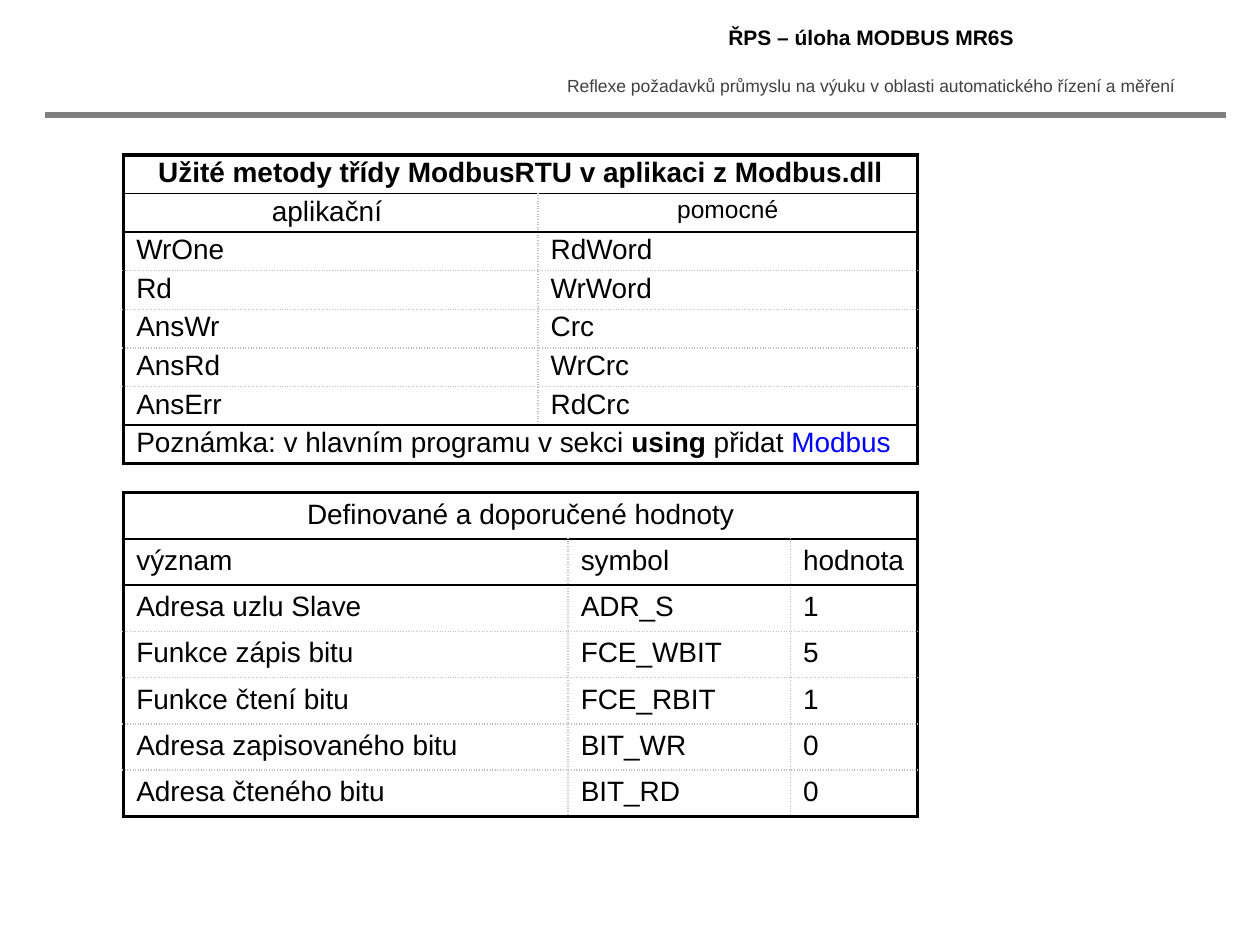
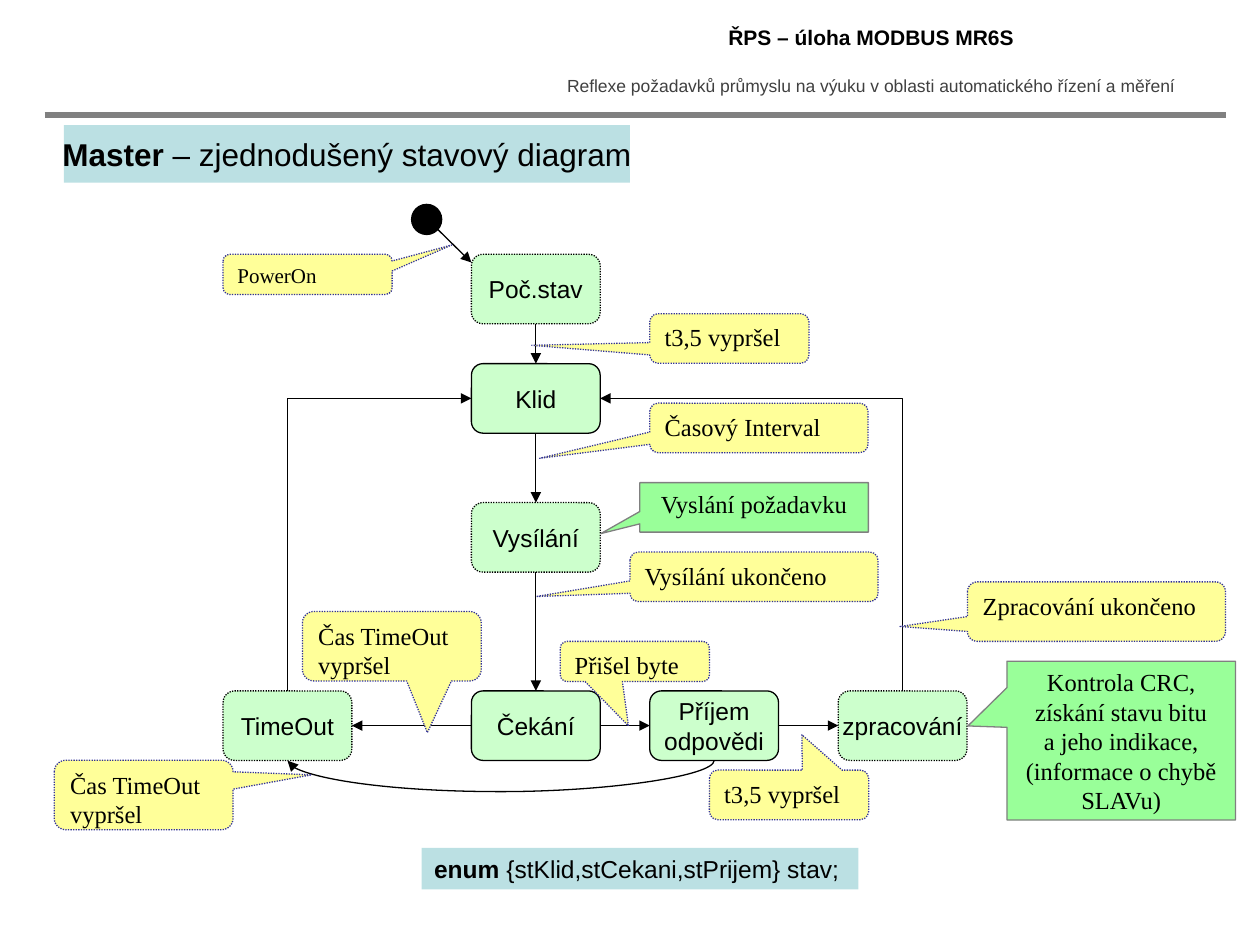
import pptx
import pptx.dml.color
import pptx.enum.dml
import pptx.enum.shapes
import pptx.enum.text
import pptx.oxml
import pptx.oxml.ns
import pptx.util

Pt = pptx.util.Pt
RGB = pptx.dml.color.RGBColor
SHAPE = pptx.enum.shapes.MSO_SHAPE
STRAIGHT = pptx.enum.shapes.MSO_CONNECTOR.STRAIGHT
ALIGN = pptx.enum.text.PP_ALIGN
ANCHOR = pptx.enum.text.MSO_ANCHOR
DOTTED = pptx.enum.dml.MSO_LINE.ROUND_DOT

BLACK = RGB(0x00, 0x00, 0x00)
DARK_GREY = RGB(0x40, 0x40, 0x40)
GREY = RGB(0x80, 0x80, 0x80)
SILVER = RGB(0xC0, 0xC0, 0xC0)
BLUE = RGB(0x00, 0x00, 0xFF)
NAVY = RGB(0x33, 0x33, 0x99)
PALE_GREEN = RGB(0xCC, 0xFF, 0xCC)
GREEN = RGB(0x99, 0xFF, 0x99)
YELLOW = RGB(0xFF, 0xFF, 0x99)
PALE_BLUE = RGB(0xBB, 0xE0, 0xE3)

SANS, SERIF = "Arial", "Times New Roman"

# Cell borders: width in points, colour, dash
FRAME = (2.25, BLACK, "solid")
RULE = (1, BLACK, "solid")
DOTS = (1, SILVER, "sysDot")


def xml(tag, body="", **attributes):
    """Make one DrawingML element."""
    values = "".join(f' {key}="{value}"' for key, value in attributes.items())
    return pptx.oxml.parse_xml(
        f'<a:{tag} {pptx.oxml.ns.nsdecls("a")}{values}>{body}</a:{tag}>')


class Builder:
    heading = "ŘPS – úloha MODBUS MR6S"
    motto = ("Reflexe požadavků průmyslu na výuku v oblasti "
             "automatického řízení a měření")

    def __init__(self):
        self.deck = pptx.Presentation()
        self.deck.slide_width, self.deck.slide_height = Pt(720), Pt(540)
        self.page = None

    def new_page(self):
        """Add a slide with the shared heading, motto and rule."""
        self.page = self.deck.slides.add_slide(self.deck.slide_layouts[5])
        title = self.page.shapes.title
        place = {"left": 309.6, "top": 10, "width": 376.5, "height": 22.4}
        for name, value in place.items():
            setattr(title, name, Pt(value))
        self.fill_text(title.text_frame, [self.heading], size=12, bold=True,
                       align=ALIGN.CENTER, anchor=ANCHOR.MIDDLE)
        motto = self.page.shapes.add_textbox(
            Pt(309.6), Pt(39.6), Pt(376), Pt(19.4))
        self.fill_text(motto.text_frame, [self.motto], size=10,
                       color=DARK_GREY, align=ALIGN.CENTER)
        self.line((25.5, 65.7), (700.5, 65.7), GREY, 3)

    def fill_text(self, frame, paras, align=ALIGN.LEFT, anchor=ANCHOR.TOP,
                  wrap=True, **style):
        """Fill a frame; a paragraph is a string or a list of (text, style)."""
        frame.word_wrap, frame.vertical_anchor = wrap, anchor
        for index, content in enumerate(paras):
            para = frame.add_paragraph() if index else frame.paragraphs[0]
            para.alignment = align
            spans = [(content, {})] if isinstance(content, str) else content
            for text, changes in spans:
                span = para.add_run()
                span.text = text
                values = {"name": SANS, "size": 14, "bold": False,
                          "color": BLACK, **style, **changes}
                span.font.color.rgb = values.pop("color")
                values["size"] = Pt(values["size"])
                for name, value in values.items():
                    setattr(span.font, name, value)

    def shape(self, kind, at, fill, line=None, dotted=False, adjust=()):
        shape = self.page.shapes.add_shape(kind, *map(Pt, at))
        shape.shadow.inherit = False
        shape.fill.solid()
        shape.fill.fore_color.rgb = fill
        if line is None:
            shape.line.fill.background()
        else:
            shape.line.color.rgb, shape.line.width = line, Pt(0.75)
            if dotted:
                shape.line.dash_style = DOTTED
        for index, value in enumerate(adjust):
            shape.adjustments[index] = value
        return shape

    def band(self, at, spans, **style):
        box = self.shape(SHAPE.RECTANGLE, at, PALE_BLUE)
        self.fill_text(box.text_frame, [spans], **style)

    def state(self, left, top, paras, dotted):
        box = self.shape(SHAPE.ROUNDED_RECTANGLE, (left, top, NODE_W, NODE_H),
                         PALE_GREEN, BLACK, dotted, [0.167])
        self.fill_text(box.text_frame, paras, align=ALIGN.CENTER,
                       anchor=ANCHOR.MIDDLE, wrap=False)

    def event(self, at, tail, paras, size=14):
        """Yellow callout that names a transition."""
        box = self.shape(SHAPE.ROUNDED_RECTANGULAR_CALLOUT, at, YELLOW, NAVY,
                         True, [*tail, 0.167])
        self.fill_text(box.text_frame, paras, name=SERIF, size=size)

    def action(self, at, tail, paras):
        """Green callout that tells what a state does."""
        box = self.shape(SHAPE.RECTANGULAR_CALLOUT, at, GREEN, GREY,
                         adjust=tail)
        self.fill_text(box.text_frame, paras, name=SERIF, align=ALIGN.CENTER)

    def line(self, start, end, color=BLACK, width=0.75):
        line = self.page.shapes.add_connector(
            STRAIGHT, *map(Pt, (*start, *end)))
        line.line.color.rgb, line.line.width = color, Pt(width)
        line._element.spPr.append(xml("effectLst"))
        return line

    def arrow(self, start, end):
        arrow = self.line(start, end)
        arrow.line._get_or_add_ln().append(xml("tailEnd", type="triangle"))
        return arrow

    def turned_arrow(self, start, end, preset, degrees, flip=False, depth=None):
        """Bent or curved arrow that leaves its start vertically."""
        arrow = self.arrow(start, end)
        width, height = abs(end[1] - start[1]), abs(end[0] - start[0])
        place = {"left": (start[0] + end[0] - width) / 2,
                 "top": (start[1] + end[1] - height) / 2,
                 "width": width, "height": height}
        for name, value in place.items():
            setattr(arrow, name, Pt(value))
        properties = arrow._element.spPr
        frame = properties.find(pptx.oxml.ns.qn("a:xfrm"))
        for name, value in {"rot": degrees * 60000, "flipH": int(flip),
                            "flipV": 0}.items():
            frame.set(name, str(value))
        geometry = properties.find(pptx.oxml.ns.qn("a:prstGeom"))
        geometry.set("prst", preset)
        if depth:
            guides = geometry.find(pptx.oxml.ns.qn("a:avLst"))
            share = round(depth / width * 100000)
            guides.append(xml("gd", name="adj1", fmla=f"val {share}"))

    def table(self, left, top, widths, row_height, rows, rules, margin,
              centred):
        """Framed table; a one-cell row spans it, rules are solid row lines."""
        count = len(widths)
        table = self.page.shapes.add_table(
            len(rows), count, Pt(left), Pt(top), Pt(sum(widths)),
            Pt(row_height * len(rows))).table
        table.first_row = table.horz_banding = False
        for column, width in zip(table.columns, widths):
            column.width = Pt(width)
        for r, row in enumerate(rows):
            table.rows[r].height = Pt(row_height)
            whole = len(row) == 1
            if whole:
                table.cell(r, 0).merge(table.cell(r, count - 1))
            for c in range(count):
                cell = table.cell(r, c)
                cell.margin_top = cell.margin_bottom = Pt(margin)
                sides = {"lnL": DOTS if c else FRAME,
                         "lnR": DOTS if c < count - 1 else FRAME,
                         "lnT": self.row_line(r, len(rows), rules),
                         "lnB": self.row_line(r + 1, len(rows), rules)}
                if whole:
                    sides.update(lnL=FRAME, lnR=FRAME)
                for side, (width, color, dash) in sides.items():
                    body = (f'<a:solidFill><a:srgbClr val="{color}"/>'
                            f'</a:solidFill><a:prstDash val="{dash}"/>')
                    cell._tc.get_or_add_tcPr().append(
                        xml(side, body, w=int(Pt(width))))
                cell.fill.background()
                if c < len(row):
                    self.fill_text(cell.text_frame, [row[c]], size=16,
                                   align=ALIGN.CENTER if r in centred
                                   else ALIGN.LEFT)

    def row_line(self, index, last, rules):
        if index in (0, last):
            return FRAME
        return RULE if index in rules else DOTS


builder = Builder()

# Slide 1: methods and values
builder.new_page()
builder.table(70.7, 281.5, (254, 127, 72.6), 26.43, [
    ["Definované a doporučené hodnoty"],
    ["význam", "symbol", "hodnota"],
    ["Adresa uzlu Slave", "ADR_S", "1"],
    ["Funkce zápis bitu", "FCE_WBIT", "5"],
    ["Funkce čtení bitu", "FCE_RBIT", "1"],
    ["Adresa zapisovaného bitu", "BIT_WR", "0"],
    ["Adresa čteného bitu", "BIT_RD", "0"],
], rules=(1, 2), margin=3.6, centred=(0,))
builder.table(70.7, 88.5, (236.8, 216.8), 22.05, [
    [[("Užité metody třídy ModbusRTU v aplikaci z Modbus.dll",
       {"bold": True})]],
    ["aplikační ", [("pomocné", {"size": 14})]],
    ["WrOne", "RdWord"],
    ["Rd", "WrWord"],
    ["AnsWr", "Crc"],
    ["AnsRd", "WrCrc"],
    ["AnsErr", "RdCrc"],
    [[("Poznámka: v hlavním programu v sekci ", {}),
      ("using ", {"bold": True}), ("přidat ", {}),
      ("Modbus", {"color": BLUE})]],
], rules=(1, 2, 7), margin=1.44, centred=(0, 1))

# Slide 2: state diagram
builder.new_page()
builder.band((36.5, 71.5, 323.5, 33), [
    ("Master", {"bold": True}), (" – zjednodušený stavový diagram", {})],
    size=18, align=ALIGN.CENTER, anchor=ANCHOR.MIDDLE, wrap=False)
builder.band((241, 484.5, 249.5, 23.8), [
    ("enum ", {"bold": True}), ("{stKlid,stCekani,stPrijem} stav;", {})])

# States: one column, and a row that crosses its foot
NODE_W, NODE_H = 73.6, 39.7
MAIN, TIMEOUT, RECEIVE, PROCESS = 269.4, 127.5, 371.3, 479
INITIAL, IDLE, SEND, WAIT = 145.3, 207.8, 287.2, 394.8
for left, top, paras, dotted in [
        (MAIN, INITIAL, ["Poč.stav"], True),
        (MAIN, IDLE, ["Klid"], False),
        (MAIN, SEND, ["Vysílání"], True),
        (MAIN, WAIT, ["Čekání"], False),
        (TIMEOUT, WAIT, ["TimeOut"], True),
        (RECEIVE, WAIT, ["Příjem", "odpovědi"], False),
        (PROCESS, WAIT, ["zpracování"], True)]:
    builder.state(left, top, paras, dotted)
builder.shape(SHAPE.OVAL, (235.2, 116.8, 17.2, 17.2), BLACK, BLACK)

# Transitions
builder.arrow((247, 128), (MAIN, 150))
axis = MAIN + NODE_W / 2
for upper, lower in [(INITIAL, IDLE), (IDLE, SEND), (SEND, WAIT)]:
    builder.arrow((axis, upper + NODE_H), (axis, lower))
middle = WAIT + NODE_H / 2
for start, end in [(MAIN + NODE_W, RECEIVE), (MAIN, TIMEOUT + NODE_W),
                   (RECEIVE + NODE_W, PROCESS)]:
    builder.arrow((start, middle), (end, middle))
idle_middle = IDLE + NODE_H / 2
builder.turned_arrow((PROCESS + NODE_W / 2, WAIT),
                     (MAIN + NODE_W, idle_middle), "bentConnector2", 90, True)
builder.turned_arrow((TIMEOUT + NODE_W / 2, WAIT), (MAIN, idle_middle),
                     "bentConnector2", 270)
foot = WAIT + NODE_H
builder.turned_arrow((RECEIVE + NODE_W / 2, foot),
                     (TIMEOUT + NODE_W / 2, foot + 0.2),
                     "curvedConnector3", 90, depth=18)

# Callouts
builder.event((127.5, 145.3, 96.6, 23), (0.852, -0.731), ["PowerOn"], size=12)
for at, tail, paras in [
        ((371.3, 179.3, 91, 28.3), (-1.241, 0.139), ["t3,5 vypršel"]),
        ((371.3, 230.4, 124.7, 28.3), (-1.005, 0.615), ["Časový Interval"]),
        ((360, 315.5, 141.8, 28.3), (-0.878, 0.398), ["Vysílání ukončeno"]),
        ((172.8, 349.4, 102.2, 39.7), (0.199, 1.244),
         ["Čas TimeOut", "vypršel"]),
        ((552.8, 332.5, 147.5, 34), (-0.761, 0.25), ["Zpracování ukončeno"]),
        ((320.2, 366.5, 85.2, 23), (-0.043, 1.599), ["Přišel byte"]),
        ((31, 434.4, 102.2, 39.7), (0.938, -0.289),
         ["Čas TimeOut", "vypršel"]),
        ((405.4, 440.1, 91, 28.3), (0.081, -1.214), ["t3,5 vypršel"])]:
    builder.event(at, tail, paras)
builder.action((365.6, 275.8, 130.6, 28.3), (-0.671, 0.531),
               ["Vyslání požadavku"])
builder.action((575.4, 377.8, 130.6, 90.8), (-0.671, -0.092),
               ["Kontrola CRC,", "získání stavu bitu", "a jeho indikace,",
                "(informace o chybě SLAVu)"])

builder.deck.save("out.pptx")
